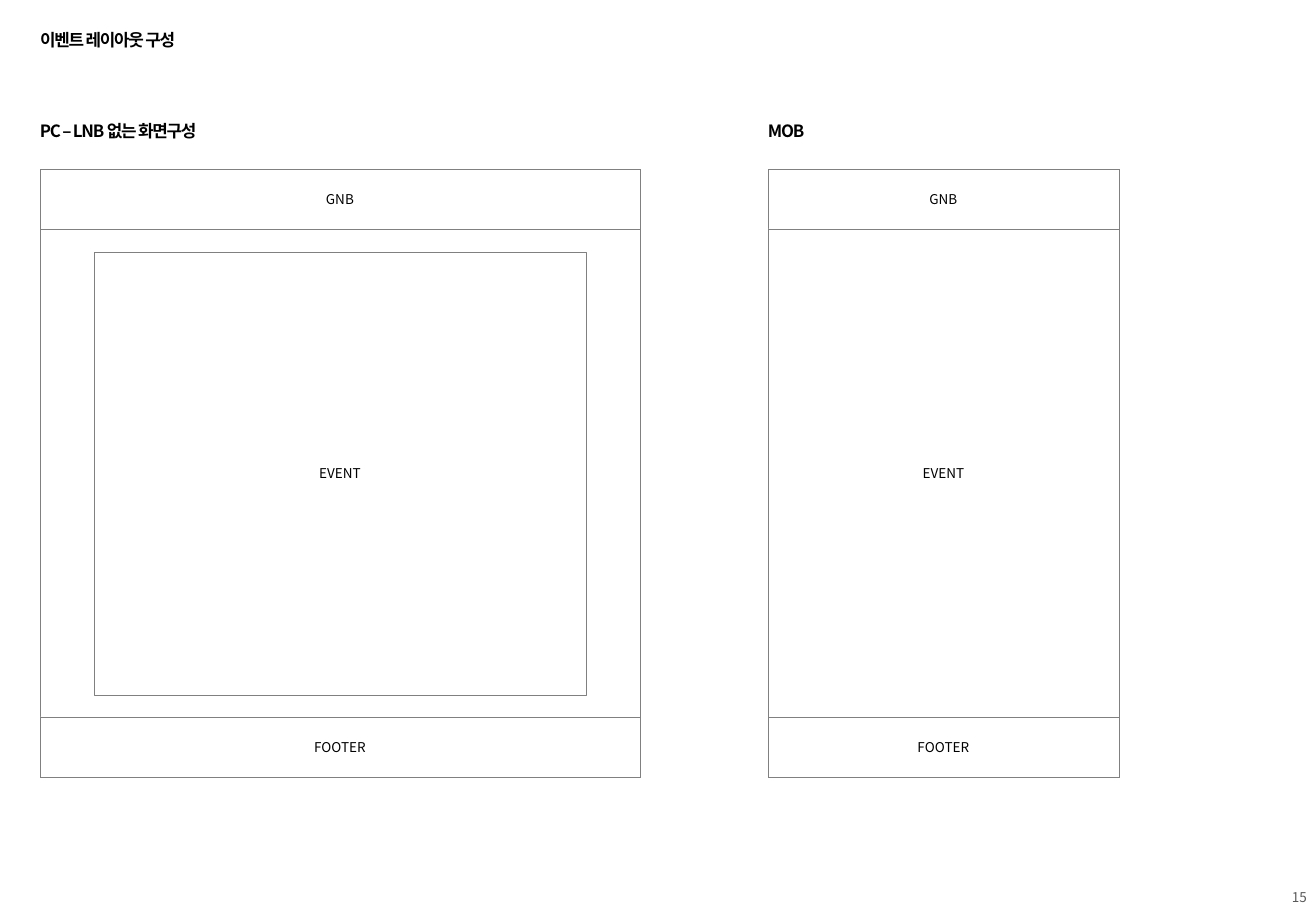
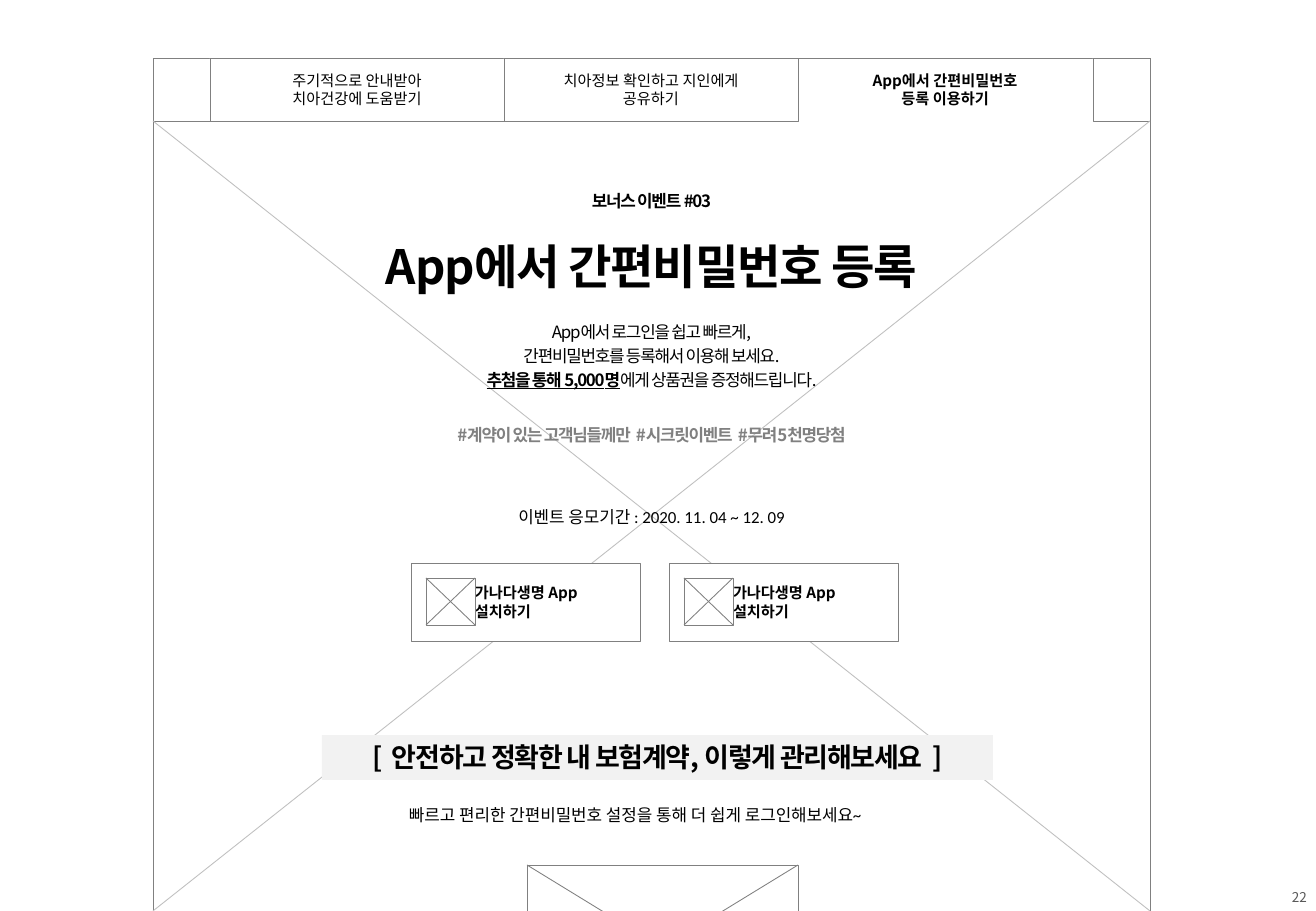
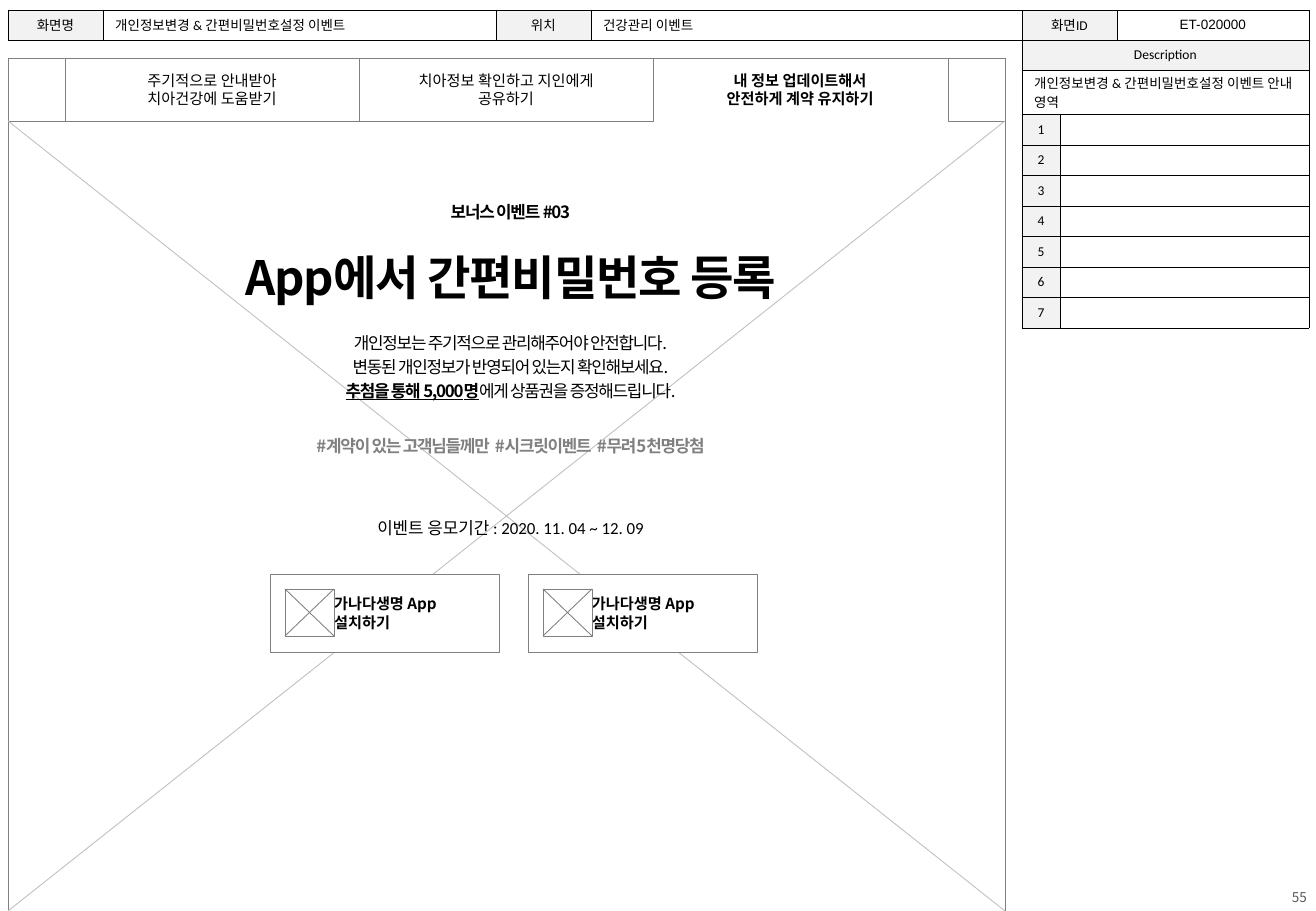
from lxml import etree
from pptx import Presentation
from pptx import util as u
from pptx.dml import color
from pptx.enum import shapes, text
from pptx.oxml import ns

PX = 7526  # EMU in one px
SLIDE_W, SLIDE_H = 1316, 911
SANS, LATIN, ID_FONT = "Noto Sans CJK KR", "Calibri", "Arial"
BLACK, GREY, PALE, LIGHT, WHITE = "000000", "808080", "BFBFBF", "F2F2F2", "FFFFFF"
LEFT, CENTER, RIGHT = text.PP_ALIGN.LEFT, text.PP_ALIGN.CENTER, text.PP_ALIGN.RIGHT
TOP, MIDDLE = text.MSO_ANCHOR.TOP, text.MSO_ANCHOR.MIDDLE
TITLE_ONLY = 5

SMALL = {"size": 8}
TAB = {"size": 9}
ACTIVE_TAB = {"size": 9, "bold": True}
BODY = {"size": 10, "spacing": -70}
HEADING = {"size": 10, "bold": True, "spacing": -70}
HEADLINE = {**HEADING, "size": 28}
TAG = {**HEADING, "color": GREY}
BANNER = {**HEADING, "size": 16}
PLAIN = {"size": 10, "name": LATIN}
CELL = {"size": 8, "name": LATIN}

TAB_H, TAB_W, TAB_SIDE = 63, 294, 57
FRAME_W = 2 * TAB_SIDE + 3 * TAB_W + 1
FRAME_TOP = 58


def px(*lengths):
    return [u.Emu(length * PX) for length in lengths]


def rgb(value):
    return color.RGBColor.from_string(value)


def apply(target, **values):
    for name, value in values.items():
        setattr(target, name, value)


def format_run(run, size, name=SANS, color=BLACK, bold=False, underline=False, spacing=0):
    apply(run.font, size=u.Pt(size), name=name, bold=bold, underline=underline)
    run.font.color.rgb = rgb(color)
    properties = run.font._element
    if spacing:
        properties.set("spc", str(spacing))
    etree.SubElement(properties, ns.qn("a:ea")).set("typeface", SANS)


def write(frame, paragraphs, style, align=CENTER, before=0):
    """Each paragraph is a string or a list of (string, style changes)."""
    for index, content in enumerate(paragraphs):
        paragraph = frame.add_paragraph() if index else frame.paragraphs[0]
        apply(paragraph, alignment=align, space_before=u.Pt(before))
        runs = [(content, {})] if isinstance(content, str) else content
        for words, changes in runs:
            run = paragraph.add_run()
            run.text = words
            format_run(run, **{**style, **changes})


def set_label(shape, paragraphs, style, align=CENTER, before=0):
    """One-line text whose shape grows with it."""
    apply(shape.text_frame, word_wrap=False, vertical_anchor=TOP,
          auto_size=text.MSO_AUTO_SIZE.SHAPE_TO_FIT_TEXT)
    write(shape.text_frame, paragraphs, style, align, before)


def add_label(slide, box, paragraphs, style, align=CENTER, before=0):
    set_label(slide.shapes.add_textbox(*px(*box)), paragraphs, style, align, before)


def add_box(slide, box, paragraphs=(), style=SMALL, align=CENTER, fill=WHITE, line=GREY):
    shape = slide.shapes.add_shape(shapes.MSO_SHAPE.RECTANGLE, *px(*box))
    shape.shadow.inherit = False
    shape.fill.solid()
    shape.fill.fore_color.rgb = rgb(fill)
    if line:
        shape.line.color.rgb = rgb(line)
        shape.line.width = u.Pt(0.25)
    else:
        shape.line.fill.background()
    apply(shape.text_frame, word_wrap=True, vertical_anchor=MIDDLE)
    write(shape.text_frame, paragraphs, style, align)
    return shape


def add_cross(slide, box, line):
    x, y, w, h = box
    for start, end in ((x, x + w), (x + w, x)):
        connector = slide.shapes.add_connector(
            shapes.MSO_CONNECTOR.STRAIGHT, *px(start, y, end, y + h))
        connector.line.color.rgb = rgb(line)
        connector.line.width = u.Pt(0.5)
        etree.SubElement(connector._element.spPr, ns.qn("a:effectLst"))


def add_image_frame(slide, box):
    add_box(slide, box)
    add_cross(slide, box, GREY)


def place_title(slide, box, words, style, align):
    title = slide.shapes.title
    title.element.getparent().append(title.element)  # bring to the front
    apply(title, **dict(zip(("left", "top", "width", "height"), px(*box))))
    set_label(title, [words], style, align, before=5)


def new_slide(presentation, number):
    slide = presentation.slides.add_slide(presentation.slide_layouts[TITLE_ONLY])
    page = slide.shapes.add_textbox(*px(1227, 883, 92, 29)).text_frame
    apply(page, word_wrap=True, vertical_anchor=MIDDLE)
    write(page, [number], {**SMALL, "color": "595959"}, RIGHT)
    return slide


def add_page_layout(slide, box, heading, heading_w, event_insets):
    """Wireframe of a page; event_insets are side, top and bottom."""
    x, y, w, h = box
    band = 60
    side, above, below = event_insets
    add_label(slide, (x - 12, y - 54, heading_w, 33), [heading], HEADING, LEFT, 5)
    add_box(slide, box)
    add_box(slide, (x, y, w, band), ["GNB"])
    add_box(slide, (x, y + h - band, w, band), ["FOOTER"])
    add_box(slide, (x + side, y + band + above, w - 2 * side, h - 2 * band - above - below),
            ["EVENT"])


def add_tabbed_frame(slide, box, tabs):
    """Frame with three tabs, the last one open, and a crossed page below."""
    x, y, w, h = box
    add_box(slide, box)
    for left in (x, x + w - TAB_SIDE):
        add_box(slide, (left, y, TAB_SIDE, TAB_H))
    add_cross(slide, (x, y + TAB_H, w, SLIDE_H - y - TAB_H), PALE)
    tab_boxes = [(x + TAB_SIDE + index * TAB_W, y, TAB_W, TAB_H) for index in range(3)]
    for tab_box, lines in zip(tab_boxes[:2], tabs):
        add_box(slide, tab_box, lines, TAB)
    active = slide.shapes.add_textbox(*px(*tab_boxes[2])).text_frame
    apply(active, word_wrap=True, vertical_anchor=MIDDLE)
    write(active, tabs[2], ACTIVE_TAB)


def add_install_button(slide, x, y):
    button = add_box(slide, (x, y, 229, 78), ["가나다생명 App", "설치하기"], ACTIVE_TAB, LEFT)
    button.text_frame.margin_left = px(64)[0]
    add_image_frame(slide, (x + 15, y + 15, 49, 47))


def add_event_intro(slide, x, y, intro):
    w = 611

    def centered(top, width, height):
        return x + (w - width) // 2, y + top, width, height

    prize = [("추첨을 통해 5,000명", {"bold": True, "underline": True}),
             ("에게 상품권을 증정해드립니다.", {})]
    add_label(slide, centered(0, 155, 33), ["보너스 이벤트 #03"], HEADING, before=5)
    place_title(slide, centered(46, w, 69), "App에서 간편비밀번호 등록", HEADLINE, CENTER)
    add_label(slide, centered(131, 385, 80), [*intro, prize], BODY, before=2)
    add_label(slide, centered(234, 455, 33),
              ["#계약이 있는 고객님들께만  #시크릿이벤트  #무려5천명당첨"], TAG, before=5)
    add_label(slide, centered(316, 305, 33),
              ["이벤트 응모기간 : 2020. 11. 04 ~ 12. 09"], PLAIN)
    for index in range(2):
        add_install_button(slide, x + 65 + 258 * index, y + 378)


def format_cell(cell, words, align, fill, style=CELL):
    apply(cell, vertical_anchor=MIDDLE, margin_top=px(2)[0], margin_bottom=px(2)[0])
    properties = cell._tc.get_or_add_tcPr()
    for index, side in enumerate(("lnL", "lnR", "lnT", "lnB")):
        border = etree.Element(ns.qn("a:" + side), w=str(u.Pt(0.25)))
        paint = etree.SubElement(border, ns.qn("a:solidFill"))
        etree.SubElement(paint, ns.qn("a:srgbClr")).set("val", BLACK)
        properties.insert(index, border)
    cell.fill.solid()
    cell.fill.fore_color.rgb = rgb(fill)
    if words:
        write(cell.text_frame, [words], style, align)
    else:
        paragraph = cell.text_frame.paragraphs[0]._p
        etree.SubElement(paragraph, ns.qn("a:endParaRPr")).set("sz", "800")


def add_grid(slide, x, y, widths, heights):
    table = slide.shapes.add_table(len(heights), len(widths),
                                   *px(x, y, sum(widths), sum(heights))).table
    apply(table, first_row=False, horz_banding=False)
    for column, width in zip(table.columns, px(*widths)):
        column.width = width
    for row, height in zip(table.rows, px(*heights)):
        row.height = height
    return table


def add_screen_header(slide, x, y):
    table = add_grid(slide, x, y, [95, 393, 95, 431, 95, 192], [30])
    fields = [("화면명", "개인정보변경 & 간편비밀번호설정 이벤트", LEFT, LATIN),
              ("위치", "건강관리 이벤트", LEFT, LATIN),
              ("화면ID", "ET-020000", CENTER, ID_FONT)]
    for index, (name, value, align, font) in enumerate(fields):
        format_cell(table.cell(0, 2 * index), name, CENTER, LIGHT)
        format_cell(table.cell(0, 2 * index + 1), value, align, WHITE, {**CELL, "name": font})


def add_description(slide, x, y):
    numbers = range(1, 8)
    table = add_grid(slide, x, y, [38, 249], [30, 44] + [30 + n % 2 for n in numbers])
    heads = [("Description", CENTER, LIGHT),
             ("개인정보변경 & 간편비밀번호설정 이벤트 안내 영역", LEFT, WHITE)]
    for row, (words, align, fill) in enumerate(heads):
        format_cell(table.cell(row, 0), words, align, fill)
        format_cell(table.cell(row, 1), "", align, fill)
        table.cell(row, 0).merge(table.cell(row, 1))
    for number in numbers:
        format_cell(table.cell(number + 1, 0), str(number), CENTER, LIGHT)
        format_cell(table.cell(number + 1, 1), "", LEFT, WHITE)


def build_layout_slide(presentation):
    slide = new_slide(presentation, "15")
    place_title(slide, (28, 24, 176, 33), "이벤트 레이아웃 구성", HEADING, LEFT)
    add_page_layout(slide, (40, 169, 600, 608), "PC – LNB 없는 화면구성", 194, (54, 23, 22))
    add_page_layout(slide, (768, 169, 351, 608), "MOB", 66, (0, 0, 0))


def build_event_slide(presentation, tabs):
    slide = new_slide(presentation, "22")
    add_tabbed_frame(slide, (153, FRAME_TOP, FRAME_W, 1491), tabs)
    add_event_intro(slide, 346, 185, ["App에서 로그인을 쉽고 빠르게,",
                                      "간편비밀번호를 등록해서 이용해 보세요."])
    banner = add_box(slide, (322, 735, 671, 45), fill=LIGHT, line=None)
    set_label(banner, ["[  안전하고 정확한 내 보험계약, 이렇게 관리해보세요  ]"], BANNER, before=5)
    add_label(slide, (397, 799, 520, 33),
              ["빠르고 편리한 간편비밀번호 설정을 통해 더 쉽게 로그인해보세요~"], PLAIN, LEFT)
    add_image_frame(slide, (527, 865, 271, 166))


def build_screen_slide(presentation, tabs):
    slide = new_slide(presentation, "55")
    add_tabbed_frame(slide, (8, FRAME_TOP, FRAME_W, SLIDE_H - FRAME_TOP), tabs)
    add_screen_header(slide, 8, 10)
    add_description(slide, 1022, 40)
    add_event_intro(slide, 205, 196, ["개인정보는 주기적으로 관리해주어야 안전합니다.",
                                      "변동된 개인정보가 반영되어 있는지 확인해보세요."])


def main():
    presentation = Presentation()
    apply(presentation, **dict(zip(("slide_width", "slide_height"), px(SLIDE_W, SLIDE_H))))
    closed_tabs = [["주기적으로 안내받아", "치아건강에 도움받기"],
                   ["치아정보 확인하고 지인에게", "공유하기"]]
    build_layout_slide(presentation)
    build_event_slide(presentation, closed_tabs + [["App에서 간편비밀번호", "등록 이용하기"]])
    build_screen_slide(presentation,
                       closed_tabs + [["내 정보 업데이트해서", "안전하게 계약 유지하기"]])
    presentation.save("out.pptx")


if __name__ == "__main__":
    main()
